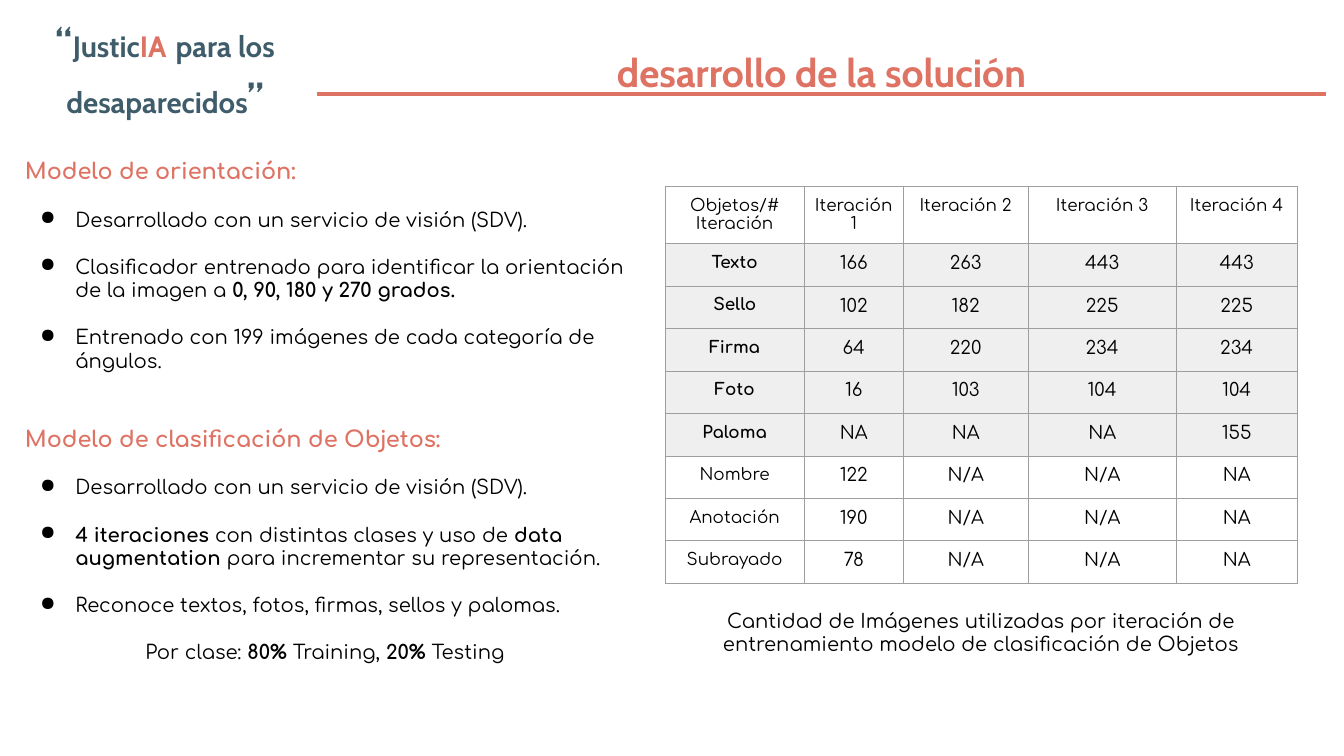
from lxml.etree import SubElement
from pptx import Presentation
from pptx.dml.color import RGBColor
from pptx.enum.shapes import MSO_CONNECTOR as Connector
from pptx.enum.text import MSO_ANCHOR as Anchor, MSO_AUTO_SIZE as AutoSize, PP_ALIGN as Align
from pptx.oxml.ns import qn
from pptx.util import Cm, Pt

CORAL = RGBColor(0xDE, 0x72, 0x63)
SLATE = RGBColor(0x3F, 0x5C, 0x6B)
BLACK = RGBColor(0, 0, 0)
GRAY = RGBColor(0xEF, 0xEF, 0xEF)
BORDER = RGBColor(0x9E, 0x9E, 0x9E)

HEADING = {"name": "Comfortaa", "size": Pt(16), "bold": True}
BODY = {"name": "Comfortaa", "size": Pt(14), "bold": False}
LABEL = {"name": "Comfortaa", "size": Pt(12), "bold": False}
VALUE = {"name": "Comfortaa", "size": Pt(13), "bold": False}
TITLE = {"name": "Cabin", "size": Pt(28), "bold": True}
BRAND = {"name": "Cabin", "size": Pt(21), "bold": True}
QUOTE = {"name": "Cabin", "size": Pt(29), "bold": True}

GAP = Pt(16.8)
INSET = Cm(0.25)

ORIENTATION = [
    "Desarrollado con un servicio de visión (SDV).",
    "Clasificador entrenado para identificar la orientación de la imagen a "
    "*0, 90, 180 y 270 grados.*",
    "Entrenado con 199 imágenes de cada categoría de ángulos.",
]
OBJECTS = [
    "Desarrollado con un servicio de visión (SDV).",
    "*4 iteraciones* con distintas clases y uso de *data augmentation *"
    "para incrementar su representación.",
    "Reconoce textos, fotos, firmas, sellos y palomas.",
]
COUNTS = [
    ["Objetos/# Iteración", "Iteración 1", "Iteración 2", "Iteración 3", "Iteración 4"],
    ["Texto", "166", "263", "443", "443"],
    ["Sello", "102", "182", "225", "225"],
    ["Firma", "64", "220", "234", "234"],
    ["Foto", "16", "103", "104", "104"],
    ["Paloma", "NA", "NA", "NA", "155"],
    ["Nombre", "122", "N/A", "N/A", "NA"],
    ["Anotación", "190", "N/A", "N/A", "NA"],
    ["Subrayado", "78", "N/A", "N/A", "NA"],
]
COLUMN_WIDTHS = [3.51, 2.49, 3.15, 3.73, 3.05]
HEADER_HEIGHT, ROW_HEIGHT = 1.4, 1.07
USED_ROWS = range(1, 6)  # object classes kept in the final model


def add_span(para, text, style, color=BLACK):
    span = para.add_run()
    span.text = text
    for key, value in style.items():
        setattr(span.font, key, value)
    span.font.color.rgb = color


def add_marked(para, text):
    """Add body text in which asterisks enclose the bold parts."""
    for index, part in enumerate(text.split("*")):
        if part:
            add_span(para, part, {**BODY, "bold": index % 2 == 1})


def set_frame(frame, inset=INSET):
    frame.word_wrap = True
    frame.auto_size = AutoSize.NONE
    frame.vertical_anchor = Anchor.TOP
    for side in ("left", "top", "right", "bottom"):
        setattr(frame, f"margin_{side}", inset)


def add_box(page, left, top, width, height):
    box = page.shapes.add_textbox(Cm(left), Cm(top), Cm(width), Cm(height))
    set_frame(box.text_frame)
    return box.text_frame


def add_bullet(para):
    props = para._p.get_or_add_pPr()
    props.set("marL", str(Cm(1.27)))
    props.set("indent", str(Cm(-0.89)))
    color = SubElement(props, qn("a:buClr"))
    SubElement(color, qn("a:srgbClr"), val=str(BLACK))
    SubElement(props, qn("a:buChar"), char="●")


def add_header(page, left, top, width, height):
    # Rule under the title
    rule_y = Cm(top + 1.65)
    rule = page.shapes.add_connector(
        Connector.STRAIGHT, Cm(left), rule_y, Cm(left + width), rule_y)
    rule.line.color.rgb = CORAL
    rule.line.width = Pt(3)
    SubElement(rule._element.spPr, qn("a:effectLst"))

    # Title
    title = page.shapes.title
    title.left, title.top, title.width, title.height = map(Cm, (left, top, width, height))
    set_frame(title.text_frame, Cm(0.33))
    para = title.text_frame.paragraphs[0]
    para.alignment = Align.CENTER
    para.line_spacing = 1.15
    add_span(para, "desarrollo de la solución", TITLE, CORAL)


def add_project_name(page, left, top, width, height):
    para = add_box(page, left, top, width, height).paragraphs[0]
    para.alignment = Align.CENTER
    para.line_spacing = 1.15
    for text, style, color in [
        ("“", QUOTE, SLATE), ("Justic", BRAND, SLATE), ("IA", BRAND, CORAL),
        (" ", QUOTE, SLATE), ("para los desaparecidos", BRAND, SLATE), ("”", QUOTE, SLATE),
    ]:
        add_span(para, text, style, color)


def add_model(page, left, top, width, height, heading, items, closing=None):
    frame = add_box(page, left, top, width, height)
    add_span(frame.paragraphs[0], heading, HEADING, CORAL)
    for item in items:
        para = frame.add_paragraph()
        para.space_before = GAP
        add_bullet(para)
        add_marked(para, item)
    if closing:
        para = frame.add_paragraph()
        para.space_before = GAP
        para.alignment = Align.CENTER
        add_marked(para, closing)


def add_borders(cell):
    props = cell._tc.get_or_add_tcPr()
    for position, side in enumerate(("a:lnL", "a:lnR", "a:lnT", "a:lnB")):
        line = props.makeelement(qn(side), {"w": str(Pt(0.75))})
        fill = SubElement(line, qn("a:solidFill"))
        SubElement(fill, qn("a:srgbClr"), val=str(BORDER))
        props.insert(position, line)


def add_counts(page, left, top):
    heights = [HEADER_HEIGHT] + [ROW_HEIGHT] * (len(COUNTS) - 1)
    table = page.shapes.add_table(
        len(COUNTS), len(COLUMN_WIDTHS), Cm(left), Cm(top),
        Cm(sum(COLUMN_WIDTHS)), Cm(sum(heights))).table
    table.first_row = table.horz_banding = False
    for column, width in zip(table.columns, COLUMN_WIDTHS):
        column.width = Cm(width)
    for r, (values, height) in enumerate(zip(COUNTS, heights)):
        table.rows[r].height = Cm(height)
        used = r in USED_ROWS
        for c, value in enumerate(values):
            cell = table.cell(r, c)
            for side in ("left", "top", "right", "bottom"):
                setattr(cell, f"margin_{side}", INSET)
            if used:
                cell.fill.solid()
                cell.fill.fore_color.rgb = GRAY
            else:
                cell.fill.background()
            add_borders(cell)
            para = cell.text_frame.paragraphs[0]
            para.alignment = Align.CENTER
            style = LABEL if r == 0 or c == 0 else VALUE
            add_span(para, value, {**style, "bold": used and c == 0})


def add_caption(page, left, top, width, height):
    para = add_box(page, left, top, width, height).paragraphs[0]
    para.alignment = Align.CENTER
    add_marked(para, "Cantidad de Imágenes utilizadas por iteración de "
                     "entrenamiento modelo de clasificación de Objetos")


def main():
    deck = Presentation()
    deck.slide_width, deck.slide_height = Cm(33.87), Cm(19.05)
    page = deck.slides.add_slide(deck.slide_layouts[5])
    add_header(page, 7.98, 0.71, 25.44, 2)
    add_project_name(page, 0, 0, 8.33, 3.18)
    add_model(page, 0.38, 3.71, 15.62, 7.19, "Modelo de orientación:", ORIENTATION)
    add_counts(page, 16.76, 4.7)
    add_model(page, 0.38, 10.46, 15.62, 7.77, "Modelo de clasificación de Objetos:",
              OBJECTS, "Por clase: *80% *Training, *20% *Testing")
    add_caption(page, 16.76, 15.09, 15.93, 1.7)
    deck.save("out.pptx")


if __name__ == "__main__":
    main()
